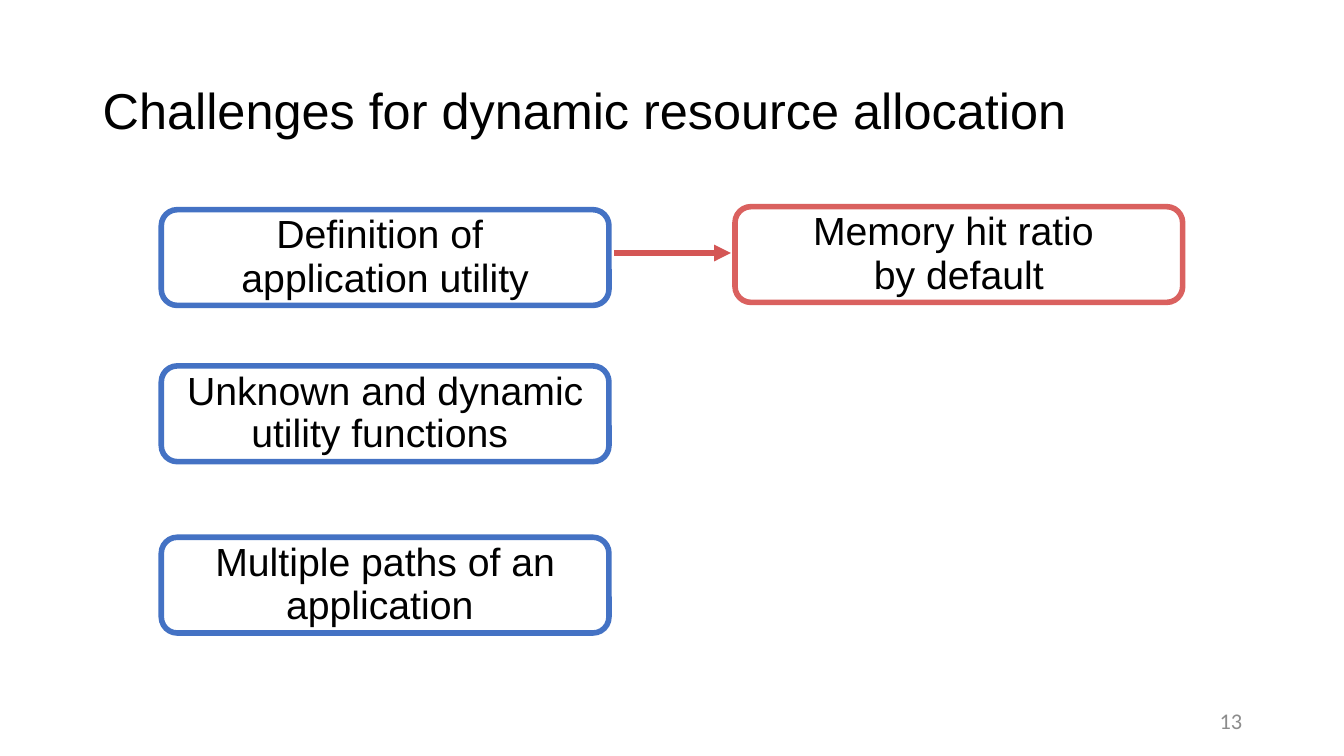
import pptx
import pptx.util
import pptx.dml.color
import pptx.enum.shapes
import pptx.enum.text
import pptx.oxml.ns
from dataclasses import dataclass
from lxml import etree

Inches = pptx.util.Inches
Pt = pptx.util.Pt
Align = pptx.enum.text.PP_ALIGN
Anchor = pptx.enum.text.MSO_ANCHOR
Shape = pptx.enum.shapes.MSO_SHAPE


@dataclass(frozen=True)
class Theme:
    """Colours, fonts and sizes of the slide."""
    ink: str = "000000"
    paper: str = "FFFFFF"
    blue: str = "4472C4"
    red: str = "DA615F"
    arrow: str = "D45655"
    grey: str = "8C8C8C"
    sans: str = "Arial"
    small: str = "Calibri"
    head: int = 36
    body: int = 28
    page: int = 16
    line: int = 4


THEME = Theme()
CARD = (4.44, 0.95)


def rgb(hue):
    """Turn a hex string into a colour."""
    return pptx.dml.color.RGBColor.from_string(hue)


def apply(target, values):
    """Set each named value on the target."""
    for name, value in values.items():
        setattr(target, name, value)


def write(shape, lines, font, size, hue, **style):
    """Write one paragraph per line, centred from top to bottom."""
    frame = shape.text_frame
    apply(frame, {"word_wrap": True, "vertical_anchor": Anchor.MIDDLE})
    for index, line in enumerate(lines):
        para = frame.add_paragraph() if index else frame.paragraphs[0]
        run = para.add_run()
        run.text = line
        apply(para, style)
        if index:
            para.space_before = Pt(1)
        apply(run.font, {"name": font, "size": Pt(size)})
        run.font.color.rgb = rgb(hue)


def label(slide, box, lines, *look, **style):
    """Place a plain text box."""
    shape = slide.shapes.add_textbox(*map(Inches, box))
    write(shape, lines, *look, **style)


def card(slide, left, top, lines, hue):
    """Place a rounded card with a coloured outline."""
    box = map(Inches, (left, top, *CARD))
    shape = slide.shapes.add_shape(Shape.ROUNDED_RECTANGLE, *box)
    shape.shadow.inherit = False
    shape.fill.solid()
    shape.fill.fore_color.rgb = rgb(THEME.paper)
    shape.line.color.rgb = rgb(hue)
    shape.line.width = Pt(THEME.line)
    write(shape, lines, THEME.sans, THEME.body, THEME.ink,
          alignment=Align.CENTER, line_spacing=0.9)


def arrow(slide, start, end, level):
    """Draw a level arrow from start to end."""
    kind = pptx.enum.shapes.MSO_CONNECTOR.STRAIGHT
    ends = map(Inches, (start, level, end, level))
    link = slide.shapes.add_connector(kind, *ends)
    link.line.color.rgb = rgb(THEME.arrow)
    link.line.width = Pt(THEME.line)
    qn = pptx.oxml.ns.qn
    etree.SubElement(link.line._get_or_add_ln(), qn("a:tailEnd"), type="triangle")
    etree.SubElement(link._element.spPr, qn("a:effectLst"))


def issues(slide, left, top):
    """Stack the challenge cards."""
    rows = (
        (0, ("Definition of ", "application utility")),
        (1.55, ("Unknown and dynamic utility functions ",)),
        (3.25, ("Multiple paths of an application ",)),
    )
    for drop, lines in rows:
        card(slide, left, top + drop, lines, THEME.blue)


def answer(slide, left, top):
    """Place the answer card and the arrow that leads to it."""
    card(slide, left, top, ("Memory hit ratio ", "by default"), THEME.red)
    arrow(slide, left - 1.2, left - 0.04, top + 0.46)


def main():
    """Build and save the slide."""
    deck = pptx.Presentation()
    apply(deck, {"slide_width": Inches(13.33), "slide_height": Inches(7.5)})
    slide = deck.slides.add_slide(deck.slide_layouts[6])
    label(slide, (0.92, 0.4, 11.5, 1.45),
          ("Challenges for dynamic resource allocation",),
          THEME.sans, THEME.head, THEME.ink, line_spacing=0.9)
    label(slide, (9.42, 6.95, 3, 0.4), ("13",),
          THEME.small, THEME.page, THEME.grey, alignment=Align.RIGHT)
    issues(slide, 1.6, 2.08)
    answer(slide, 7.29, 2.05)
    deck.save("out.pptx")


if __name__ == "__main__":
    main()
